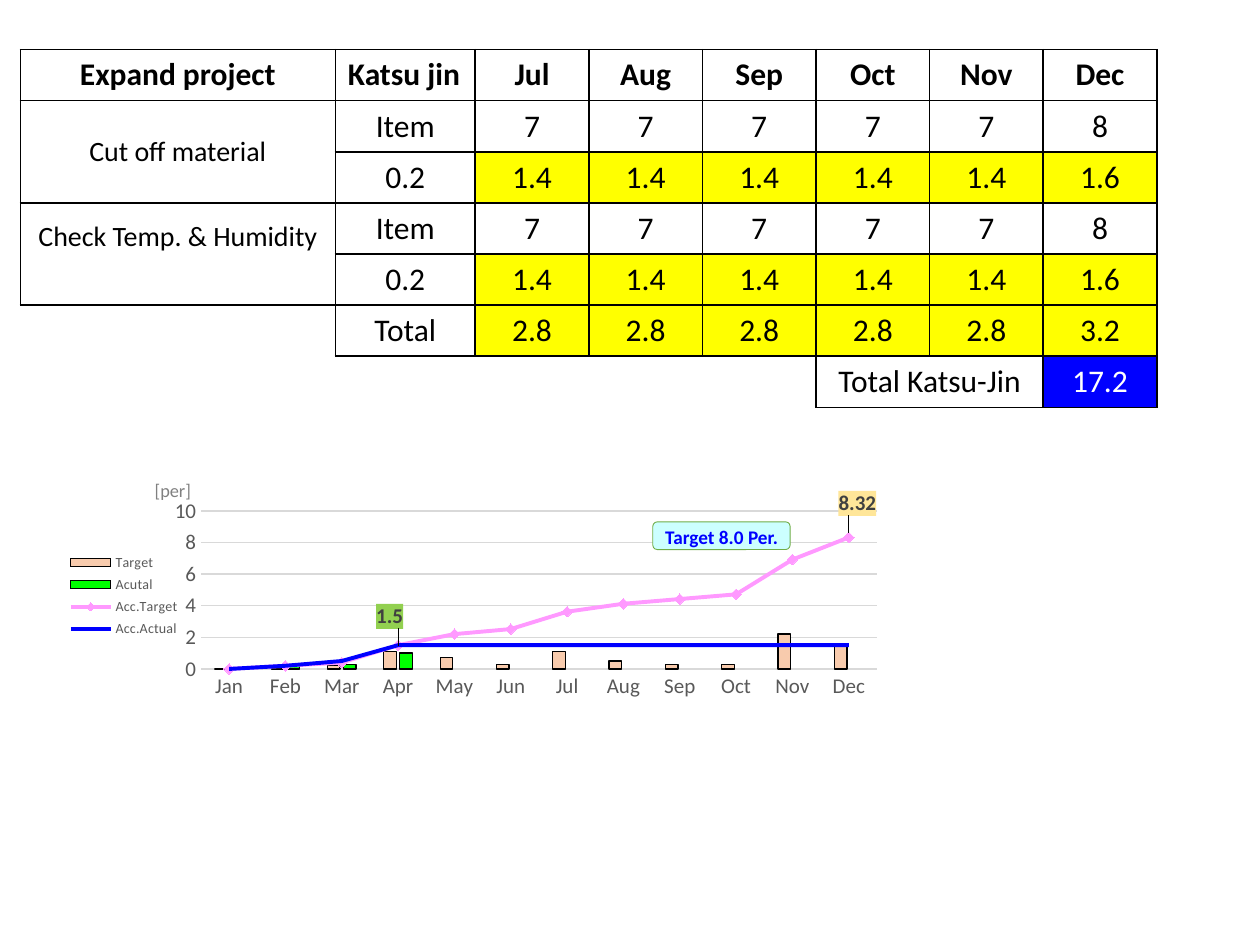
"""Build the Katsu-jin expansion slide with its monthly table and combined chart."""
from copy import deepcopy

from pptx import Presentation
from pptx.chart.data import CategoryChartData
from pptx.dml.color import RGBColor
from pptx.enum.chart import (XL_CHART_TYPE, XL_LABEL_POSITION, XL_LEGEND_POSITION,
                             XL_MARKER_STYLE, XL_TICK_MARK)
from pptx.enum.shapes import MSO_SHAPE
from pptx.enum.text import MSO_ANCHOR, PP_ALIGN
from pptx.oxml import parse_xml
from pptx.oxml.ns import nsdecls, qn
from pptx.util import Cm, Pt

COLUMNS = XL_CHART_TYPE.COLUMN_CLUSTERED
LEFT_LEGEND, ABOVE = XL_LEGEND_POSITION.LEFT, XL_LABEL_POSITION.ABOVE
DIAMOND, NO_MARKER = XL_MARKER_STYLE.DIAMOND, XL_MARKER_STYLE.NONE
NO_TICK = XL_TICK_MARK.NONE
ROUNDED = MSO_SHAPE.ROUNDED_RECTANGLE
TOP, MIDDLE = MSO_ANCHOR.TOP, MSO_ANCHOR.MIDDLE
LEFT, CENTER = PP_ALIGN.LEFT, PP_ALIGN.CENTER

COLORS = {
    "black": "000000", "white": "FFFFFF", "yellow": "FFFF00", "blue": "0000FF",
    "peach": "F8CBAD", "lime": "00FF00", "pink": "FF99FF", "grid": "D9D9D9",
    "axis": "595959", "label": "404040", "unit": "808080", "cyan": "CCFFFF",
    "green": "70AD47", "gold": "FFE699", "leaf": "92D050",
}
ITEMS = ["7"] * 5 + ["8"]
HOURS = ["1.4"] * 5 + ["1.6"]
ROWS = [
    ["Expand project", "Katsu jin", "Jul", "Aug", "Sep", "Oct", "Nov", "Dec"],
    ["Cut off material", "Item", *ITEMS],
    ["", "0.2", *HOURS],
    ["Check Temp. & Humidity", "Item", *ITEMS],
    ["", "0.2", *HOURS],
    ["", "Total", *["2.8"] * 5, "3.2"],
    ["", "", "", "", "", "Total Katsu-Jin", "", "17.2"],
]
MERGES = [((1, 0), (2, 0)), ((3, 0), (4, 0)), ((6, 5), (6, 6))]
FIRST_BOXED_COLUMN = [0, 0, 0, 0, 0, 1, 5]
YELLOW_ROWS = (2, 4, 5)
COLUMN_WIDTHS = [6.35, 2.82] + [2.29] * 6
ROW_HEIGHT = 1.03

MONTHS = ["Jan", "Feb", "Mar", "Apr", "May", "Jun",
          "Jul", "Aug", "Sep", "Oct", "Nov", "Dec"]
BARS = [
    ("Target", [0, 0.2, 0.2, 1.1, 0.7, 0.3, 1.1, 0.5, 0.3, 0.3, 2.2, 1.4], "peach"),
    ("Acutal", [0, 0.2, 0.3, 1] + [None] * 8, "lime"),
]
LINES = [
    ("Acc.Target", [0, 0.2, 0.4, 1.5, 2.2, 2.52, 3.62, 4.12, 4.42, 4.72, 6.92, 8.32],
     "pink", DIAMOND, 11, "gold", (0.01, -0.05)),
    ("Acc.Actual", [0, 0.2, 0.5] + [1.5] * 9,
     "blue", NO_MARKER, 3, "leaf", (-0.01, -0.05)),
]
PLOT_AREA = {"x": 0.17, "y": 0.13, "w": 0.79, "h": 0.69}


def rgb(name):
    return RGBColor.from_string(COLORS[name])


def set_all(target, values):
    for name, value in values.items():
        setattr(target, name, value)


def style_font(font, size, color, bold=False):
    set_all(font, {"name": "Calibri", "size": Pt(size), "bold": bold})
    font.color.rgb = rgb(color)


def paint(fill, color):
    fill.solid()
    fill.fore_color.rgb = rgb(color)


def draw_line(line, color, width):
    paint(line.fill, color)
    line.width = Pt(width)


def is_boxed(row, column):
    return (0 <= row < len(ROWS)
            and FIRST_BOXED_COLUMN[row] <= column < len(COLUMN_WIDTHS))


def set_borders(cell, row, column):
    neighbours = {"lnL": (row, column - 1), "lnR": (row, column + 1),
                  "lnT": (row - 1, column), "lnB": (row + 1, column)}
    properties = cell._tc.get_or_add_tcPr()
    for index, (tag, neighbour) in enumerate(neighbours.items()):
        drawn = is_boxed(row, column) or is_boxed(*neighbour)
        fill = (f'<a:solidFill><a:srgbClr val="{COLORS["black"]}"/></a:solidFill>'
                if drawn else "<a:noFill/>")
        properties.insert(index, parse_xml(
            f'<a:{tag} {nsdecls("a")} w="12700">{fill}</a:{tag}>'))


def add_month_table(slide):
    table = slide.shapes.add_table(
        len(ROWS), len(COLUMN_WIDTHS), Cm(0.41), Cm(1), Cm(sum(COLUMN_WIDTHS)),
        Cm(ROW_HEIGHT * len(ROWS))).table
    set_all(table, {"first_row": False, "horz_banding": False})
    for column, width in zip(table.columns, COLUMN_WIDTHS):
        column.width = Cm(width)
    for row_index, texts in enumerate(ROWS):
        table.rows[row_index].height = Cm(ROW_HEIGHT)
        for column_index, text in enumerate(texts):
            cell = table.cell(row_index, column_index)
            is_total = text == "17.2"
            is_yellow = row_index in YELLOW_ROWS and column_index > 1
            paint(cell.fill, "blue" if is_total else "yellow" if is_yellow else "white")
            set_borders(cell, row_index, column_index)
            is_top_left = text == "Katsu jin"
            cell.vertical_anchor = TOP if is_top_left else MIDDLE
            if not text:
                continue
            paragraph = cell.text_frame.paragraphs[0]
            paragraph.alignment = LEFT if is_top_left else CENTER
            run = paragraph.add_run()
            run.text = text
            is_project = column_index == 0 and row_index > 0
            style_font(run.font, 16 if is_project else 18,
                       "white" if is_total else "black", row_index == 0)
    for start, end in MERGES:
        table.cell(*start).merge(table.cell(*end))
    table.cell(3, 0).margin_bottom = Cm(0.8)


def move_lines_to_second_axes(chart):
    plot_area = chart._chartSpace.chart.plotArea
    bar_chart = plot_area.find(qn("c:barChart"))
    line_chart = parse_xml(
        f'<c:lineChart {nsdecls("c")}><c:grouping val="standard"/>'
        '<c:varyColors val="0"/><c:marker val="1"/>'
        '<c:axId val="5001"/><c:axId val="5002"/></c:lineChart>')
    marker_flag = line_chart.find(qn("c:marker"))
    for series in bar_chart.findall(qn("c:ser"))[len(BARS):]:
        for inversion in series.findall(qn("c:invertIfNegative")):
            series.remove(inversion)
        marker_flag.addprevious(series)
    bar_chart.addnext(line_chart)
    value_axis = plot_area.find(qn("c:valAx"))
    for tag, own, other in (("c:catAx", "5001", "5002"), ("c:valAx", "5002", "5001")):
        axis = deepcopy(plot_area.find(qn(tag)))
        for name, value in {"axId": own, "crossAx": other, "delete": "1"}.items():
            axis.find(qn(f"c:{name}")).set("val", value)
        for gridlines in axis.findall(qn("c:majorGridlines")):
            axis.remove(gridlines)
        if tag == "c:valAx":
            axis.find(qn("c:axPos")).set("val", "r")
            axis.find(qn("c:crosses")).set("val", "max")
        value_axis.addnext(axis)
    for layout in plot_area.findall(qn("c:layout")):
        plot_area.remove(layout)
    sizes = "".join(f'<c:{key} val="{value}"/>' for key, value in PLOT_AREA.items())
    plot_area.insert(0, parse_xml(
        f'<c:layout {nsdecls("c")}><c:manualLayout><c:layoutTarget val="inner"/>'
        '<c:xMode val="edge"/><c:yMode val="edge"/>'
        f'{sizes}</c:manualLayout></c:layout>'))


def add_point_label(series, point, fill, offset):
    label = series.points[point].data_label
    style_font(label.font, 12, "label", True)
    label.position = ABOVE
    element = label._get_or_add_dLbl()
    element.find(qn("c:idx")).addnext(parse_xml(
        f'<c:layout {nsdecls("c")}><c:manualLayout><c:x val="{offset[0]}"/>'
        f'<c:y val="{offset[1]}"/></c:manualLayout></c:layout>'))
    for old_format in element.findall(qn("c:spPr")):
        element.remove(old_format)
    element.find(qn("c:txPr")).addprevious(parse_xml(
        f'<c:spPr {nsdecls("c", "a")}><a:solidFill>'
        f'<a:srgbClr val="{COLORS[fill]}"/></a:solidFill></c:spPr>'))
    series.data_labels.show_value = False


def add_progress_chart(slide):
    data = CategoryChartData()
    data.categories = MONTHS
    for name, values, *_ in BARS + LINES:
        data.add_series(name, values)
    chart = slide.shapes.add_chart(
        COLUMNS, Cm(1.12), Cm(9.7), Cm(17.25), Cm(4.62), data).chart
    set_all(chart, {"has_title": False, "has_legend": True})
    style_font(chart.font, 10, "black")
    set_all(chart.legend, {"position": LEFT_LEGEND, "include_in_layout": False})
    style_font(chart.legend.font, 8, "axis")
    value_axis = chart.value_axis
    set_all(value_axis, {"minimum_scale": 0, "maximum_scale": 10, "major_unit": 2,
                         "has_major_gridlines": True})
    for axis in (chart.category_axis, value_axis):
        set_all(axis, {"major_tick_mark": NO_TICK, "minor_tick_mark": NO_TICK})
        style_font(axis.tick_labels.font, 12, "axis")
    draw_line(chart.category_axis.format.line, "grid", 0.75)
    draw_line(value_axis.major_gridlines.format.line, "grid", 0.75)
    value_axis.format.line.fill.background()
    move_lines_to_second_axes(chart)
    bar_plot, line_plot = chart.plots
    set_all(bar_plot, {"gap_width": 219, "overlap": -27, "vary_by_categories": False})
    for series, (_, _, color) in zip(bar_plot.series, BARS):
        paint(series.format.fill, color)
        draw_line(series.format.line, "black", 0.75)
    for series, (_, _, color, marker, *label) in zip(line_plot.series, LINES):
        series.smooth = False
        draw_line(series.format.line, color, 2.25)
        set_all(series.marker, {"style": marker, "size": 6})
        paint(series.marker.format.fill, color)
        draw_line(series.marker.format.line, color, 0.75)
        add_point_label(series, *label)


def add_text(shapes, box, text, size, color, bold, wrap):
    frame = shapes.add_textbox(*map(Cm, box)).text_frame
    frame.word_wrap = wrap
    run = frame.paragraphs[0].add_run()
    run.text = text
    style_font(run.font, size, color, bold)


def add_target_callout(slide):
    shapes = slide.shapes.add_group_shape().shapes
    plate = shapes.add_shape(ROUNDED, Cm(13.16), Cm(10.52), Cm(2.77), Cm(0.56))
    plate.shadow.inherit = False
    paint(plate.fill, "cyan")
    draw_line(plate.line, "green", 0.5)
    add_text(shapes, (13.16, 10.46, 2.9, 0.74), "Target 8.0 Per.", 11, "blue", True, False)


def main():
    presentation = Presentation()
    set_all(presentation, {"slide_width": Cm(25.4), "slide_height": Cm(19.05)})
    slide = presentation.slides.add_slide(presentation.slide_layouts[6])
    add_month_table(slide)
    add_progress_chart(slide)
    add_target_callout(slide)
    add_text(slide.shapes, (2.87, 9.53, 2.06, 0.74), "[per]", 10.5, "unit", False, True)
    presentation.save("out.pptx")


if __name__ == "__main__":
    main()
